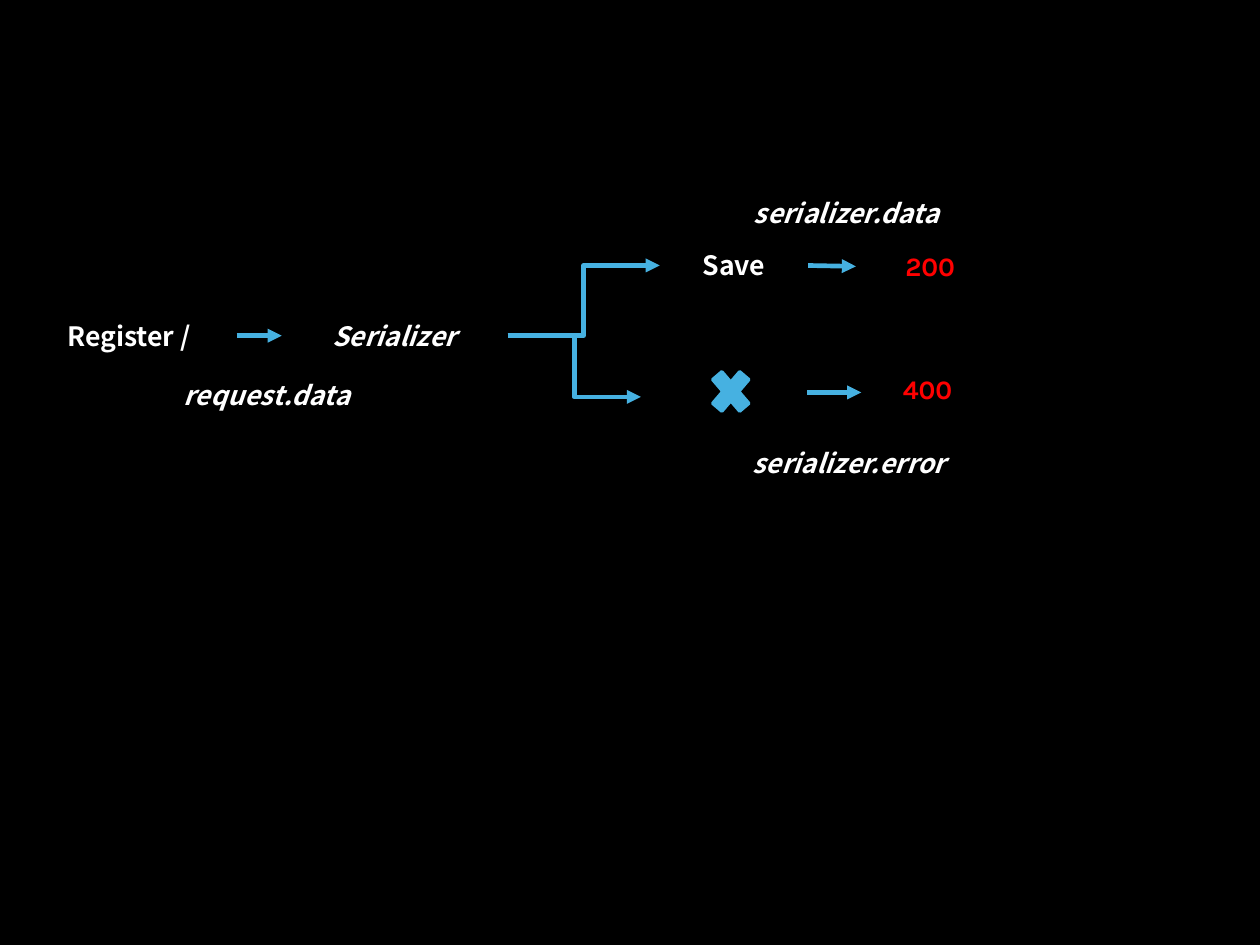
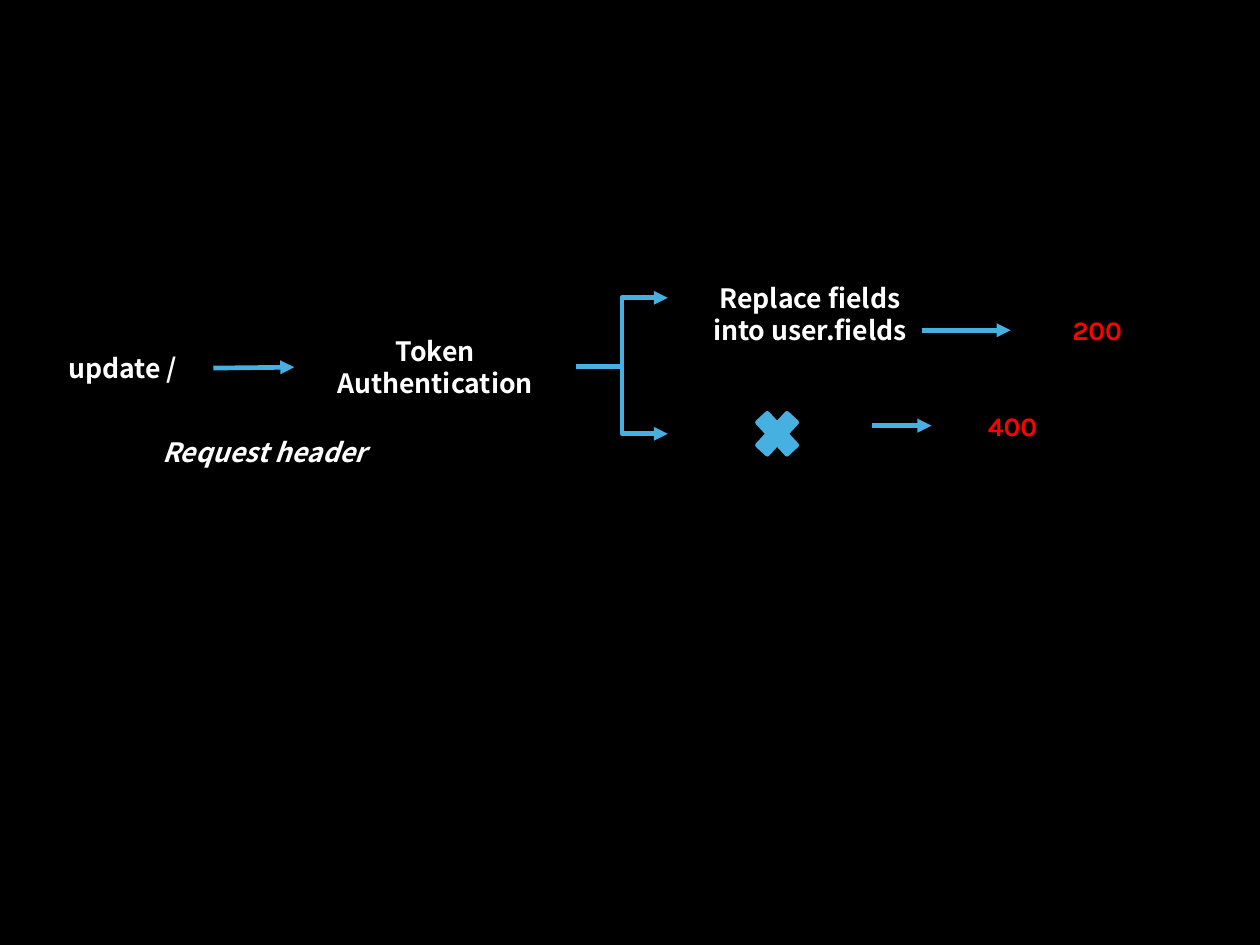
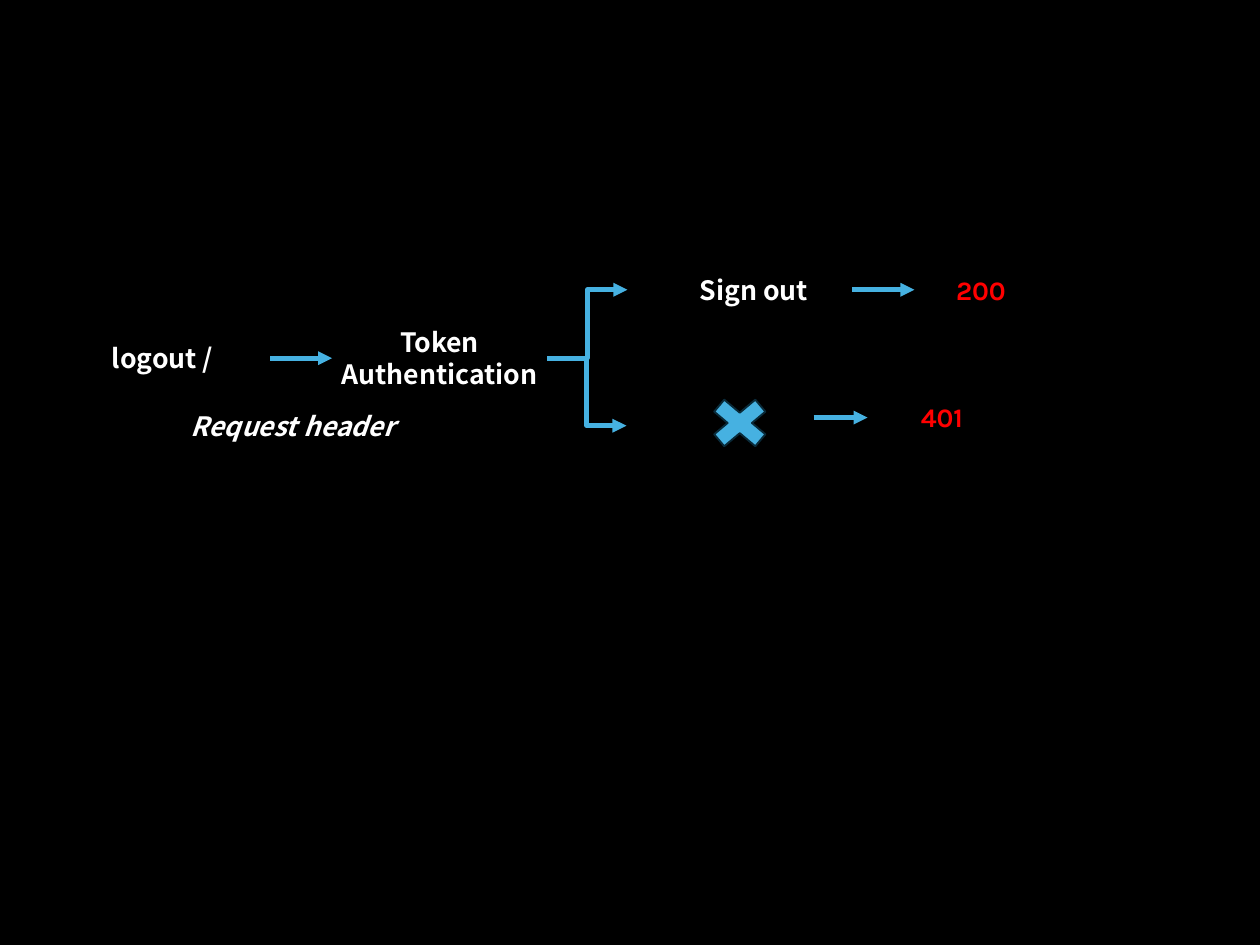
from lxml import etree
from pptx import Presentation
from pptx import util as u
from pptx.dml import color
from pptx.enum import shapes, text
from pptx.oxml import ns

COLUMNS, ROWS = 140, 105
BLACK, WHITE, RED, BLUE, NAVY = "000000", "FFFFFF", "FF0000", "46B1E1", "092A39"
BODY_FONT, CODE_FONT = "Noto Sans CJK SC", "Karla"
TEXT_SIZE, ARROW_WIDTH = 21.3, 3.75
LINE_ROWS = 4.6
RIGHT_SIDE, LEFT_SIDE = 3, 1


def rgb(value):
    """Turn a hex string into a colour."""
    return color.RGBColor.from_string(value)


class FlowDeck:
    """Hold the shared style and the current slide."""

    def __init__(self):
        """Start a presentation with a fine grid of columns and rows."""
        self.presentation = Presentation()
        self.presentation.slide_width = u.Inches(14)
        self.presentation.slide_height = u.Inches(10.5)
        self.slide = None

    def x(self, columns):
        """Convert columns to a length."""
        return round(self.presentation.slide_width * columns / COLUMNS)

    def y(self, rows):
        """Convert rows to a length."""
        return round(self.presentation.slide_height * rows / ROWS)

    def add_slide(self):
        """Open a blank black slide."""
        self.slide = self.presentation.slides.add_slide(self.presentation.slide_layouts[6])
        fill = self.slide.background.fill
        fill.solid()
        fill.fore_color.rgb = rgb(BLACK)

    def label(self, words, left, top, width, height=LINE_ROWS,
              font=BODY_FONT, ink=WHITE, italic=False):
        """Add a centred bold text box."""
        box = self.slide.shapes.add_textbox(self.x(left), self.y(top), self.x(width), self.y(height))
        box.text_frame.word_wrap = True
        box.text_frame.text = words
        paragraph = box.text_frame.paragraphs[0]
        paragraph.alignment = text.PP_ALIGN.CENTER
        for run in paragraph.runs:
            run.font.name = font
            run.font.size = u.Pt(TEXT_SIZE)
            run.font.bold = True
            run.font.italic = italic
            run.font.color.rgb = rgb(ink)
        return box

    def note(self, words, left, top, width):
        """Add an italic label."""
        return self.label(words, left, top, width, italic=True)

    def status(self, words, left, top, width):
        """Add a red status code."""
        return self.label(words, left, top, width, font=CODE_FONT, ink=RED)

    def cross(self, left, top, width, height, outline=BLUE, outline_width=ARROW_WIDTH):
        """Add the failure cross."""
        shape = self.slide.shapes.add_shape(
            shapes.MSO_SHAPE.MATH_MULTIPLY,
            self.x(left), self.y(top), self.x(width), self.y(height))
        shape.shadow.inherit = False
        shape.fill.solid()
        shape.fill.fore_color.rgb = rgb(BLUE)
        shape.line.color.rgb = rgb(outline)
        shape.line.width = u.Pt(outline_width)

    def arrow(self, start, end, kind=shapes.MSO_CONNECTOR.STRAIGHT):
        """Add an arrow between two grid points."""
        connector = self.slide.shapes.add_connector(
            kind, self.x(start[0]), self.y(start[1]), self.x(end[0]), self.y(end[1]))
        connector.line.color.rgb = rgb(BLUE)
        connector.line.width = u.Pt(ARROW_WIDTH)
        properties = connector._element.spPr
        line = properties.find(ns.qn("a:ln"))
        etree.SubElement(line, ns.qn("a:tailEnd")).set("type", "triangle")
        etree.SubElement(properties, ns.qn("a:effectLst"))
        return connector

    def join(self, source, target):
        """Add an arrow from the right of one box to the left of another."""
        connector = self.arrow((0, 0), (1, 1))
        connector.begin_connect(source, RIGHT_SIDE)
        connector.end_connect(target, LEFT_SIDE)

    def branch(self, start, *ends):
        """Add bent arrows from one point to several ends."""
        for end in ends:
            self.arrow(start, end, shapes.MSO_CONNECTOR.ELBOW)

    def chain(self, request, check, success, accepted):
        """Join the request to its check and the success to its code."""
        self.join(request, check)
        self.join(success, accepted)


def register_slide(deck):
    """Draw the registration flow."""
    deck.add_slide()
    deck.chain(deck.label("Register /", 2.4, 35, 23.9),
               deck.note("Serializer", 31.3, 35, 25),
               deck.label("Save", 73.3, 27.2, 16.5),
               deck.status("200", 95.1, 27.3, 16.5))
    deck.branch((56.4, 37.3), (73.3, 29.5), (71.2, 44.1))
    deck.cross(78.3, 40.1, 5.8, 6.8, outline_width=2.5)
    deck.arrow((89.7, 43.6), (95.7, 43.6))
    deck.status("400", 98.5, 40.9, 9.1)
    deck.note("request.data", 11, 41.6, 37.3)
    deck.note("serializer.data", 75.4, 21.4, 37.3)
    deck.note("serializer.error", 75.7, 49.2, 37.3)


def update_slide(deck):
    """Draw the update flow."""
    deck.add_slide()
    deck.chain(deck.label("update /", 3.6, 38.6, 20.1),
               deck.label("Token Authentication", 32.7, 36.7, 31.3, 8.2),
               deck.label("Replace fields into user.fields", 77.6, 30.8, 24.8, 11.8),
               deck.status("200", 112.3, 34.4, 19.2))
    deck.branch((64, 40.7), (74.2, 48.2), (74.2, 33.1))
    deck.cross(83.2, 44.8, 6.3, 6.8)
    deck.arrow((96.9, 47.3), (103.5, 47.3))
    deck.status("400", 107.5, 45, 10)
    deck.note("Request header", 13.7, 47.9, 31.3)


def logout_slide(deck):
    """Draw the logout flow."""
    deck.add_slide()
    deck.chain(deck.label("logout /", 6.1, 37.5, 23.9),
               deck.label("Token Authentication", 36.9, 35.7, 23.9, 8.2),
               deck.label("Sign out", 72.8, 29.9, 21.9),
               deck.status("200", 101.6, 29.9, 14.8))
    deck.branch((60.8, 39.8), (69.6, 47.3), (69.7, 32.2))
    deck.cross(77.8, 43.3, 8.8, 7.4, NAVY, 1.5)
    deck.arrow((90.4, 46.4), (96.4, 46.4))
    deck.status("401", 100.1, 44.1, 9.1)
    deck.note("Request header", 13.9, 45, 37.3)


def main():
    """Build the three flows and save them."""
    deck = FlowDeck()
    for draw in (register_slide, update_slide, logout_slide):
        draw(deck)
    deck.presentation.save("out.pptx")


if __name__ == "__main__":
    main()
